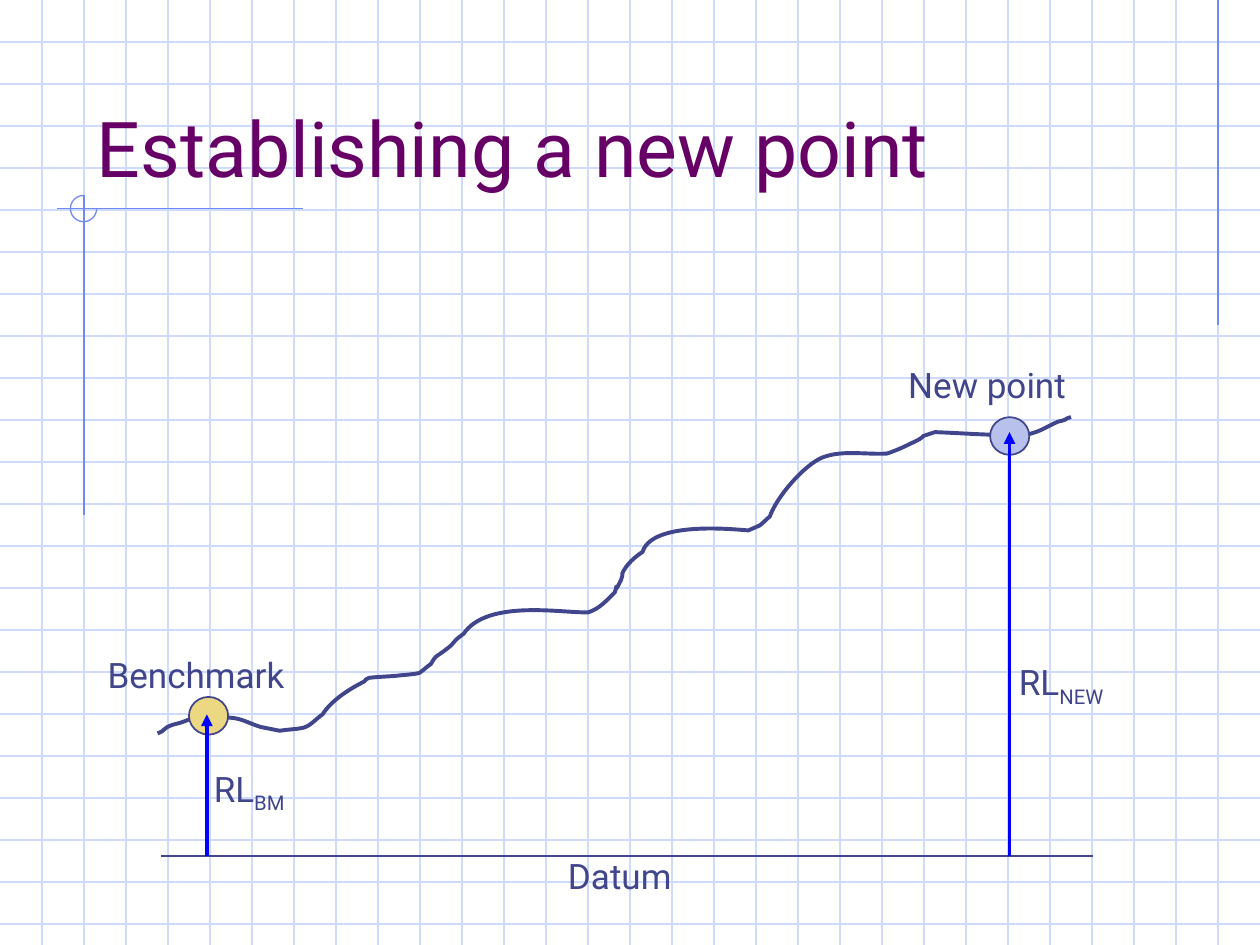
import pptx
import pptx.dml.color
import pptx.enum.shapes
import pptx.enum.text
import pptx.oxml
import pptx.oxml.ns
import pptx.util
from pptx.util import Cm

RGBColor = pptx.dml.color.RGBColor
MSO_SHAPE = pptx.enum.shapes.MSO_SHAPE
MSO_ANCHOR = pptx.enum.text.MSO_ANCHOR
MSO_AUTO_SIZE = pptx.enum.text.MSO_AUTO_SIZE
NS = pptx.oxml.ns.nsdecls("a")

GRID = RGBColor(0xCF, 0xDB, 0xFD)
ACCENT = RGBColor(0x6F, 0x89, 0xF7)
PURPLE = RGBColor(0x66, 0x00, 0x66)
NAVY = RGBColor(0x40, 0x45, 0x8C)
BLUE = RGBColor(0x00, 0x00, 0xFF)
GOLD = RGBColor(0xEC, 0xD8, 0x82)
PALE_BLUE = RGBColor(0xB7, 0xC1, 0xEB)

FONT = "Roboto"
WIDTH, HEIGHT = 25.4, 19.05
STEP = WIDTH / 30
DATUM_Y = 17.26

# Bezier ground profile in inches: a start, then two controls and an end per curve
INCH = Cm(2.54)
GROUND_START = (1.25, 5.82)
GROUND_CURVES = [
    ((1.32, 5.8), (1.28, 5.78), (1.38, 5.75)),
    ((1.42, 5.74), (1.46, 5.73), (1.5, 5.71)),
    ((1.54, 5.7), (1.61, 5.68), (1.61, 5.68)),
    ((1.69, 5.69), (1.78, 5.69), (1.86, 5.7)),
    ((1.93, 5.71), (2, 5.75), (2.07, 5.77)),
    ((2.17, 5.79), (2.12, 5.78), (2.22, 5.8)),
    ((2.28, 5.79), (2.33, 5.79), (2.39, 5.78)),
    ((2.46, 5.77), (2.5, 5.71), (2.56, 5.67)),
    ((2.63, 5.56), (2.77, 5.47), (2.89, 5.41)),
    ((2.9, 5.4), (2.91, 5.38), (2.93, 5.38)),
    ((3.01, 5.37), (3.1, 5.37), (3.18, 5.36)),
    ((3.18, 5.36), (3.31, 5.35), (3.33, 5.34)),
    ((3.36, 5.32), (3.39, 5.29), (3.42, 5.27)),
    ((3.47, 5.19), (3.43, 5.24), (3.56, 5.14)),
    ((3.59, 5.12), (3.61, 5.08), (3.64, 5.06)),
    ((3.65, 5.05), (3.67, 5.04), (3.68, 5.03)),
    ((3.87, 4.75), (4.48, 4.87), (4.67, 4.86)),
    ((4.76, 4.83), (4.81, 4.77), (4.88, 4.7)),
    ((4.92, 4.57), (4.85, 4.77), (4.93, 4.6)),
    ((4.94, 4.58), (4.94, 4.56), (4.94, 4.55)),
    ((4.97, 4.48), (5.04, 4.42), (5.1, 4.38)),
    ((5.18, 4.12), (5.9, 4.21), (5.94, 4.21)),
    ((5.94, 4.21), (6.03, 4.17), (6.03, 4.17)),
    ((6.06, 4.15), (6.08, 4.12), (6.11, 4.1)),
    ((6.16, 3.95), (6.38, 3.69), (6.53, 3.63)),
    ((6.69, 3.57), (6.87, 3.61), (7.04, 3.6)),
    ((7.13, 3.57), (7.21, 3.53), (7.29, 3.49)),
    ((7.31, 3.48), (7.32, 3.47), (7.33, 3.46)),
    ((7.36, 3.45), (7.42, 3.43), (7.42, 3.43)),
    ((7.69, 3.44), (7.89, 3.46), (8.15, 3.45)),
    ((8.27, 3.42), (8.28, 3.4), (8.39, 3.35)),
    ((8.41, 3.34), (8.45, 3.34), (8.47, 3.32)),
    ((8.48, 3.32), (8.49, 3.31), (8.5, 3.31)),
]


def add_line(shapes, x1, y1, x2, y2, color, width=0.75, arrow=False):
    line = shapes.add_connector(pptx.enum.shapes.MSO_CONNECTOR.STRAIGHT,
                                Cm(x1), Cm(y1), Cm(x2), Cm(y2))
    line.line.color.rgb = color
    line.line.width = pptx.util.Pt(width)
    sp_pr = line._element.spPr
    if arrow:
        sp_pr.find(pptx.oxml.ns.qn("a:ln")).append(
            pptx.oxml.parse_xml(f'<a:tailEnd {NS} type="triangle"/>'))
    sp_pr.append(pptx.oxml.parse_xml(f"<a:effectLst {NS}/>"))


def add_text(shapes, text, x, y, w, h, *, sub="", size=20, color=NAVY,
             anchor=MSO_ANCHOR.TOP, wrap=False):
    """Add a text box; sub is set as a subscript after the text."""
    tf = shapes.add_textbox(Cm(x), Cm(y), Cm(w), Cm(h)).text_frame
    tf.word_wrap = wrap
    tf.auto_size = MSO_AUTO_SIZE.NONE if wrap else MSO_AUTO_SIZE.SHAPE_TO_FIT_TEXT
    tf.vertical_anchor = anchor
    p = tf.paragraphs[0]
    for part, baseline in ((text, None), (sub, "-25000")):
        if not part:
            continue
        r = p.add_run()
        r.text = part
        r.font.name = FONT
        r.font.size = pptx.util.Pt(size)
        r.font.color.rgb = color
        if baseline:
            r.font._element.set("baseline", baseline)


def style_shape(sp, color, width, fill=None):
    sp.shadow.inherit = False
    sp.line.color.rgb = color
    sp.line.width = pptx.util.Pt(width)
    if fill is None:
        sp.fill.background()
    else:
        sp.fill.solid()
        sp.fill.fore_color.rgb = fill


def add_marker(shapes, x, y, fill):
    sp = shapes.add_shape(MSO_SHAPE.OVAL, Cm(x), Cm(y), Cm(0.79), Cm(0.76))
    style_shape(sp, NAVY, 1, fill)


def add_background(s):
    """Group the grid and accent lines and hand the group to the slide's layout."""
    group = s.shapes.add_group_shape()
    shapes = group.shapes
    for i in range(1, 23):
        add_line(shapes, 0, i * STEP, WIDTH, i * STEP, GRID)
    for i in range(1, 30):
        add_line(shapes, i * STEP, 0, i * STEP, HEIGHT, GRID)
    add_line(shapes, 29 * STEP, 0, 29 * STEP, 6.55, ACCENT)
    add_line(shapes, 6.1, 4.21, 1.14, 4.21, ACCENT)
    add_line(shapes, 2 * STEP, 3.94, 2 * STEP, 10.39, ACCENT)
    arc = shapes.add_shape(MSO_SHAPE.ARC, Cm(1.42), Cm(3.94), Cm(0.53), Cm(0.53))
    arc.adjustments[0] = 0
    arc.adjustments[1] = 162
    style_shape(arc, ACCENT, 0.75)
    s.slide_layout.shapes._spTree.append(group._element)


def to_emu(point):
    return tuple(round(v * INCH) for v in point)


def add_ground(shapes):
    """Build the profile through the curve ends, then bend each segment."""
    builder = shapes.build_freeform(*to_emu(GROUND_START))
    builder.add_line_segments([to_emu(curve[-1]) for curve in GROUND_CURVES],
                              close=False)
    sp = builder.convert_to_shape()
    segments = list(sp._element.iter(pptx.oxml.ns.qn("a:lnTo")))
    for segment, curve in zip(segments, GROUND_CURVES):
        points = "".join(f'<a:pt x="{x - sp.left}" y="{y - sp.top}"/>'
                         for x, y in map(to_emu, curve))
        segment.getparent().replace(segment, pptx.oxml.parse_xml(
            f"<a:cubicBezTo {NS}>{points}</a:cubicBezTo>"))
    style_shape(sp, NAVY, 2.25)


def main():
    prs = pptx.Presentation()
    prs.slide_width, prs.slide_height = Cm(WIDTH), Cm(HEIGHT)
    s = prs.slides.add_slide(prs.slide_layouts[6])
    shapes = s.shapes

    add_background(s)
    add_text(shapes, "Establishing a new point", 1.7, 0.84, 21.59, 3.18, size=44,
             color=PURPLE, anchor=MSO_ANCHOR.BOTTOM, wrap=True)

    add_ground(shapes)
    add_marker(shapes, 3.81, 14.05, GOLD)
    add_marker(shapes, 19.96, 8.41, PALE_BLUE)
    add_line(shapes, 3.25, DATUM_Y, 22.04, DATUM_Y, NAVY, 1)

    add_text(shapes, "Benchmark", 1.92, 13.04, 4.29, 1.12)
    add_text(shapes, "New point", 18.06, 7.21, 3.91, 1.12)
    add_text(shapes, "RL", 4.06, 15.34, 1.96, 1.22, sub="BM")
    add_text(shapes, "Datum", 11.2, 17.11, 2.77, 1.12)
    add_text(shapes, "RL", 20.29, 13.2, 2.24, 1.22, sub="NEW")

    for x, top in ((4.17, 14.4), (20.35, 8.71)):
        add_line(shapes, x, DATUM_Y, x, top, BLUE, 2.25, arrow=True)

    prs.save("out.pptx")


if __name__ == "__main__":
    main()
